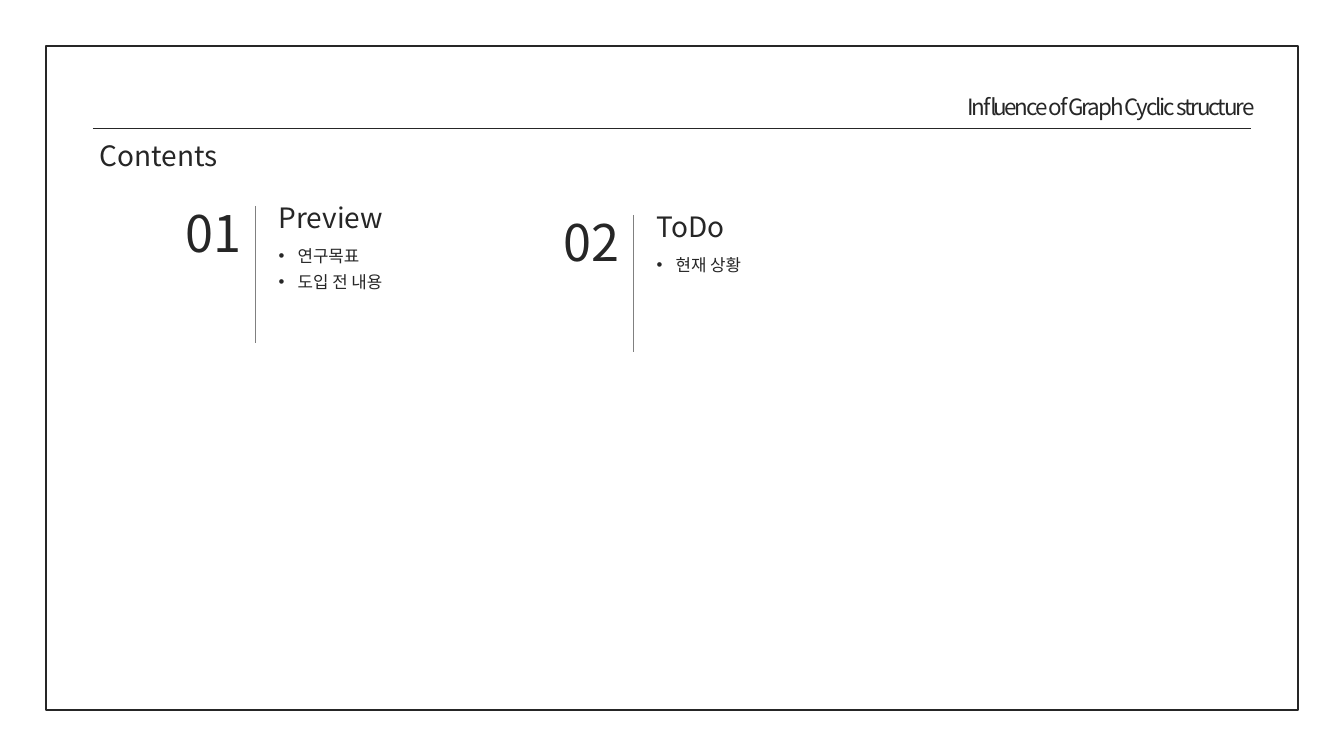
from lxml.etree import SubElement
from pptx import Presentation
from pptx.dml.color import RGBColor
from pptx.enum.shapes import MSO_CONNECTOR, MSO_SHAPE
from pptx.enum.text import MSO_ANCHOR as ANCHOR, MSO_AUTO_SIZE as AUTO, PP_ALIGN as ALIGN
from pptx.oxml.ns import qn
from pptx.util import Emu, Pt

PX = 914400 / 67.2
WIDTH, HEIGHT = 1344, 756
FONT = "Noto Sans CJK KR"
COLORS = {"ink": "262626", "divider": "808080"}

# Divider x and top, number, heading, bullet points
SECTIONS = [
    (633, 215, "02", "ToDo", ["현재 상황"]),
    (255, 206, "01", "Preview", ["연구목표", "도입 전 내용"]),
]


def px(*lengths):
    return [Emu(round(length * PX)) for length in lengths]


class ContentsSlide:
    def __init__(self, prs):
        self.slide = prs.slides.add_slide(prs.slide_layouts[5])
        self.shapes = self.slide.shapes

    def color(self, name):
        return RGBColor.from_string(COLORS[name])

    def frame(self, box, weight):
        border = self.shapes.add_shape(MSO_SHAPE.RECTANGLE, *px(*box))
        border.shadow.inherit = False
        border.fill.background()
        border.line.color.rgb = self.color("ink")
        border.line.width = Pt(weight)

    def line(self, start, end, color, parent=None):
        shapes = parent or self.shapes
        rule = shapes.add_connector(MSO_CONNECTOR.STRAIGHT, *px(*start, *end))
        rule.line.color.rgb = self.color(color)
        rule.line.width = Pt(0.5)
        SubElement(rule._element.spPr, qn("a:effectLst"))

    def title(self, box, text, size):
        heading = self.slide.shapes.title
        heading.left, heading.top, heading.width, heading.height = px(*box)
        self.fill_text(heading.text_frame, [text], size)

    def text(self, box, lines, size, parent=None, **style):
        shapes = parent or self.shapes
        self.fill_text(shapes.add_textbox(*px(*box)).text_frame, lines, size, **style)

    def fill_text(self, frame, lines, size, align=ALIGN.LEFT, anchor=ANCHOR.TOP,
                  bullet=False, spacing=None):
        frame_format = {"word_wrap": True, "auto_size": AUTO.SHAPE_TO_FIT_TEXT,
                        "vertical_anchor": anchor}
        for name, value in frame_format.items():
            setattr(frame, name, value)
        frame.text = "\n".join(lines)
        for paragraph in frame.paragraphs:
            paragraph.alignment = align
            if bullet:
                self.bullet(paragraph)
            run = paragraph.runs[0]
            for name, value in {"name": FONT, "size": Pt(size)}.items():
                setattr(run.font, name, value)
            run.font.color.rgb = self.color("ink")
            props = run._r.get_or_add_rPr()
            props.find(qn("a:latin")).addnext(props.makeelement(qn("a:ea"), {"typeface": FONT}))
            if spacing:
                props.set("spc", str(spacing))

    def bullet(self, paragraph):
        paragraph.line_spacing = 1.3
        props = paragraph._p.get_or_add_pPr()
        indent = px(19)[0]
        props.set("marL", str(indent))
        props.set("indent", str(-indent))
        SubElement(props, qn("a:buFont"), typeface="Arial")
        SubElement(props, qn("a:buChar"), char="•")

    def section(self, x, y, number, heading, points):
        group = self.shapes.add_group_shape().shapes
        self.text((x + 17, y - 9, 214, 41), [heading], 30, group)
        self.text((x + 17, y + 30, 267, 3 + 27 * len(points)), points, 18, group,
                  bullet=True)
        self.text((x - 83, y - 8, 83, 68), [number], 54, group,
                  align=ALIGN.CENTER, anchor=ANCHOR.MIDDLE)
        self.line((x, y), (x, y + 137), "divider", group)


def main():
    prs = Presentation()
    prs.slide_width, prs.slide_height = px(WIDTH, HEIGHT)
    page = ContentsSlide(prs)

    # Page frame and header
    page.frame((46, 46, 1252, 664), 2)
    page.line((93, 128), (1251, 128), "ink")
    page.title((93, 135, 341, 41), "Contents", 30)
    page.text((873, 90, 388, 34), ["Influence of Graph Cyclic structure"], 24,
              align=ALIGN.RIGHT, spacing=-220)

    # Sections
    for section in SECTIONS:
        page.section(*section)

    prs.save("out.pptx")


if __name__ == "__main__":
    main()
